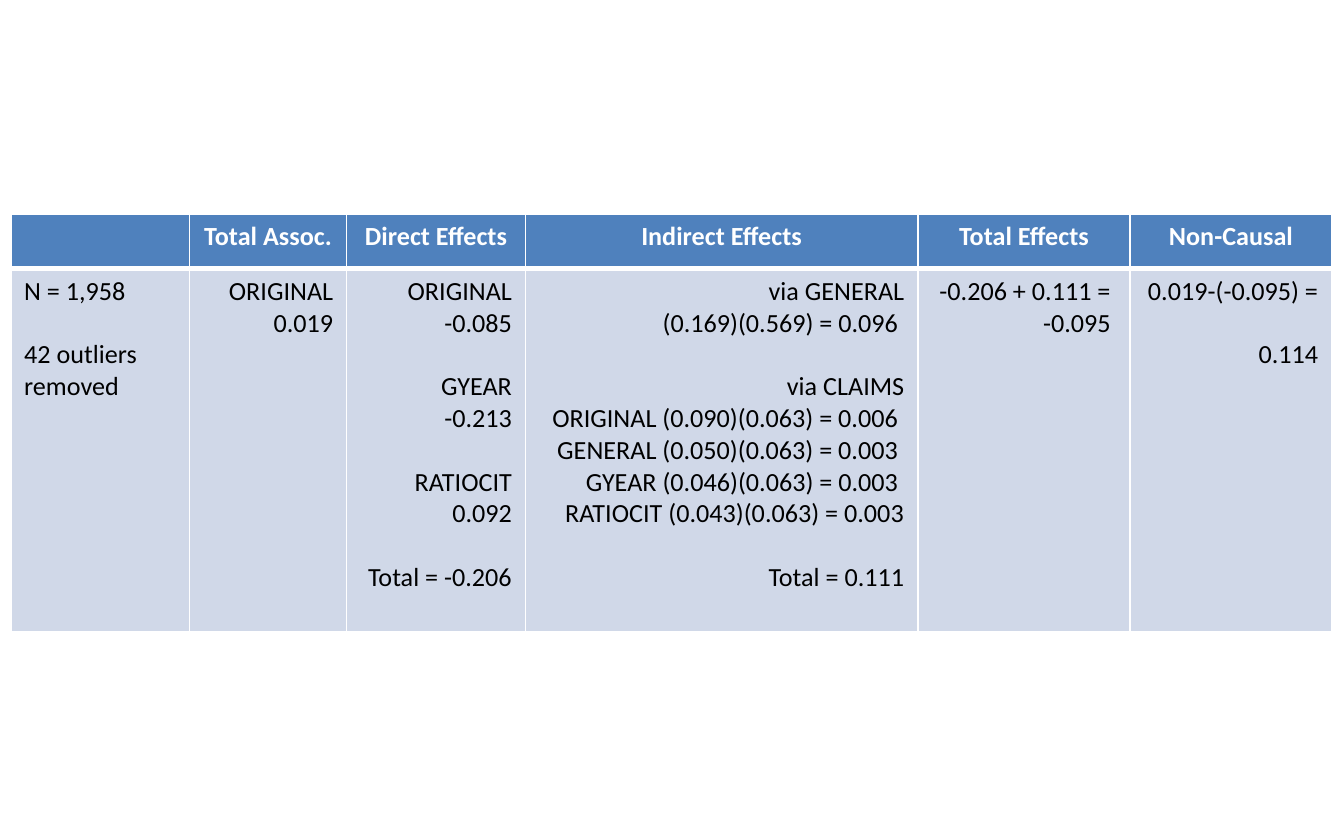
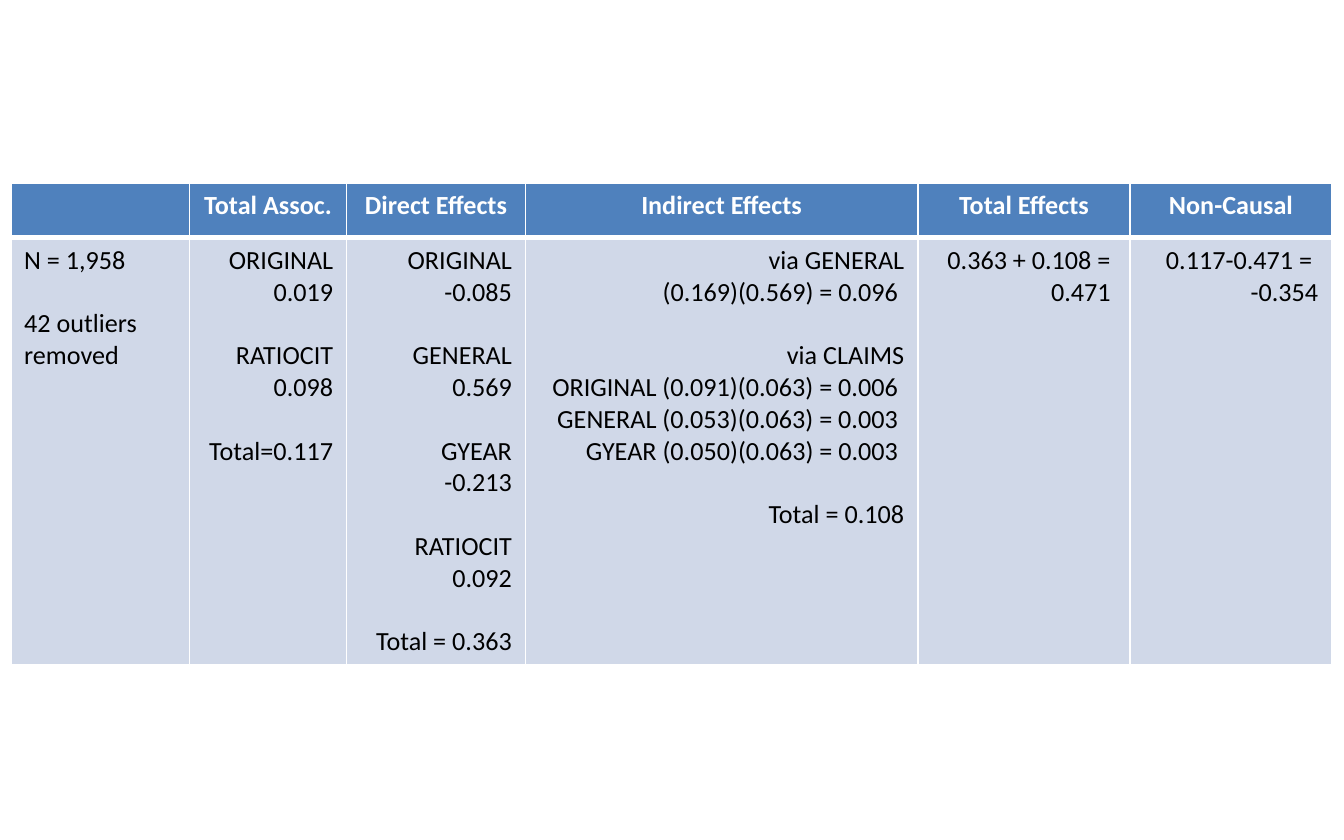
from dataclasses import dataclass

from lxml.etree import SubElement
from pptx import Presentation
from pptx.dml.color import RGBColor
from pptx.enum.text import PP_ALIGN
from pptx.oxml.ns import qn
from pptx.util import Inches, Pt


@dataclass(frozen=True)
class Theme:
    font: str = "Calibri"
    size: int = 14
    group_gap: int = 17
    header_fill: str = "4F81BD"
    body_fill: str = "D0D8E8"
    header_text: str = "FFFFFF"
    body_text: str = "000000"
    border: str = "FFFFFF"
    thin: int = 1
    thick: int = 3


theme = Theme()
HEADERS = ["", "Total Assoc.", "Direct Effects", "Indirect Effects", "Total Effects", "Non-Causal"]
COLUMN_WIDTHS = [1.33, 1.17, 1.33, 2.92, 1.58, 1.5]
TABLE_LEFT, HEADER_HEIGHT = 0.08, 0.41
SAMPLE = [["N = 1,958"], ["42 outliers removed"]]
VIA_GENERAL = ["via GENERAL", "(0.169)(0.569) = 0.096 "]

# Each cell is a list of groups, and each group a list of lines.
EFFECT_TABLES = [
    {
        "top": 1.59,
        "body_height": 2.7,
        "cells": [
            SAMPLE,
            [["ORIGINAL", "0.019"]],
            [["ORIGINAL", "-0.085"], ["GYEAR", "-0.213"], ["RATIOCIT", "0.092"], ["Total = -0.206"]],
            [
                VIA_GENERAL,
                [
                    "via CLAIMS",
                    "ORIGINAL (0.090)(0.063) = 0.006 ",
                    "GENERAL (0.050)(0.063) = 0.003 ",
                    "GYEAR (0.046)(0.063) = 0.003 ",
                    "RATIOCIT (0.043)(0.063) = 0.003",
                ],
                ["Total = 0.111"],
            ],
            [["-0.206 + 0.111 = ", "-0.095 "]],
            [["0.019-(-0.095) ="], ["0.114"]],
        ],
    },
    {
        "top": 1.36,
        "body_height": 3.16,
        "cells": [
            SAMPLE,
            [["ORIGINAL", "0.019"], ["RATIOCIT", "0.098"], ["Total=0.117"]],
            [
                ["ORIGINAL", "-0.085"],
                ["GENERAL", "0.569"],
                ["GYEAR", "-0.213"],
                ["RATIOCIT", "0.092"],
                ["Total = 0.363"],
            ],
            [
                VIA_GENERAL,
                [
                    "via CLAIMS",
                    "ORIGINAL (0.091)(0.063) = 0.006 ",
                    "GENERAL (0.053)(0.063) = 0.003 ",
                    "GYEAR (0.050)(0.063) = 0.003 ",
                ],
                ["Total = 0.108"],
            ],
            [["0.363 + 0.108 = ", "0.471 "]],
            [["0.117-0.471 = ", "-0.354"]],
        ],
    },
]


def style_cell(cell, fill, top, bottom):
    """Draw the four borders, then the fill, in the order the file format requires."""
    properties = cell._tc.get_or_add_tcPr()
    widths = {"a:lnL": theme.thin, "a:lnR": theme.thin, "a:lnT": top, "a:lnB": bottom}
    for tag, width in widths.items():
        line = SubElement(properties, qn(tag), w=str(Pt(width)))
        solid = SubElement(line, qn("a:solidFill"))
        SubElement(solid, qn("a:srgbClr"), val=theme.border)
    cell.fill.solid()
    cell.fill.fore_color.rgb = RGBColor.from_string(fill)


def write_groups(cell, groups, align, color, bold):
    """Write one paragraph per line, with a line's gap between groups."""
    font_format = {"name": theme.font, "size": Pt(theme.size), "bold": bold}
    frame = cell.text_frame
    para = frame.paragraphs[0]
    for group_index, group in enumerate(groups):
        for line_index, line in enumerate(group):
            if group_index or line_index:
                para = frame.add_paragraph()
            para.alignment = align
            if group_index and line_index == 0:
                para.space_before = Pt(theme.group_gap)
            span = para.add_run()
            span.text = line
            for name, value in font_format.items():
                setattr(span.font, name, value)
            span.font.color.rgb = RGBColor.from_string(color)


deck = Presentation()
deck.slide_width, deck.slide_height = Inches(10), Inches(6.25)

for effects in EFFECT_TABLES:
    page = deck.slides.add_slide(deck.slide_layouts[6])
    table = page.shapes.add_table(
        2,
        len(HEADERS),
        Inches(TABLE_LEFT),
        Inches(effects["top"]),
        Inches(sum(COLUMN_WIDTHS)),
        Inches(HEADER_HEIGHT + effects["body_height"]),
    ).table
    table.horz_banding = False
    table.rows[0].height = Inches(HEADER_HEIGHT)
    table.rows[1].height = Inches(effects["body_height"])

    for index, (header, width, groups) in enumerate(zip(HEADERS, COLUMN_WIDTHS, effects["cells"])):
        table.columns[index].width = Inches(width)
        header_cell, body_cell = table.cell(0, index), table.cell(1, index)
        style_cell(header_cell, theme.header_fill, theme.thin, theme.thick)
        style_cell(body_cell, theme.body_fill, theme.thick, theme.thin)
        if header:
            write_groups(header_cell, [[header]], PP_ALIGN.CENTER, theme.header_text, True)
        body_align = PP_ALIGN.RIGHT if header else PP_ALIGN.LEFT
        write_groups(body_cell, groups, body_align, theme.body_text, False)

deck.save("out.pptx")
